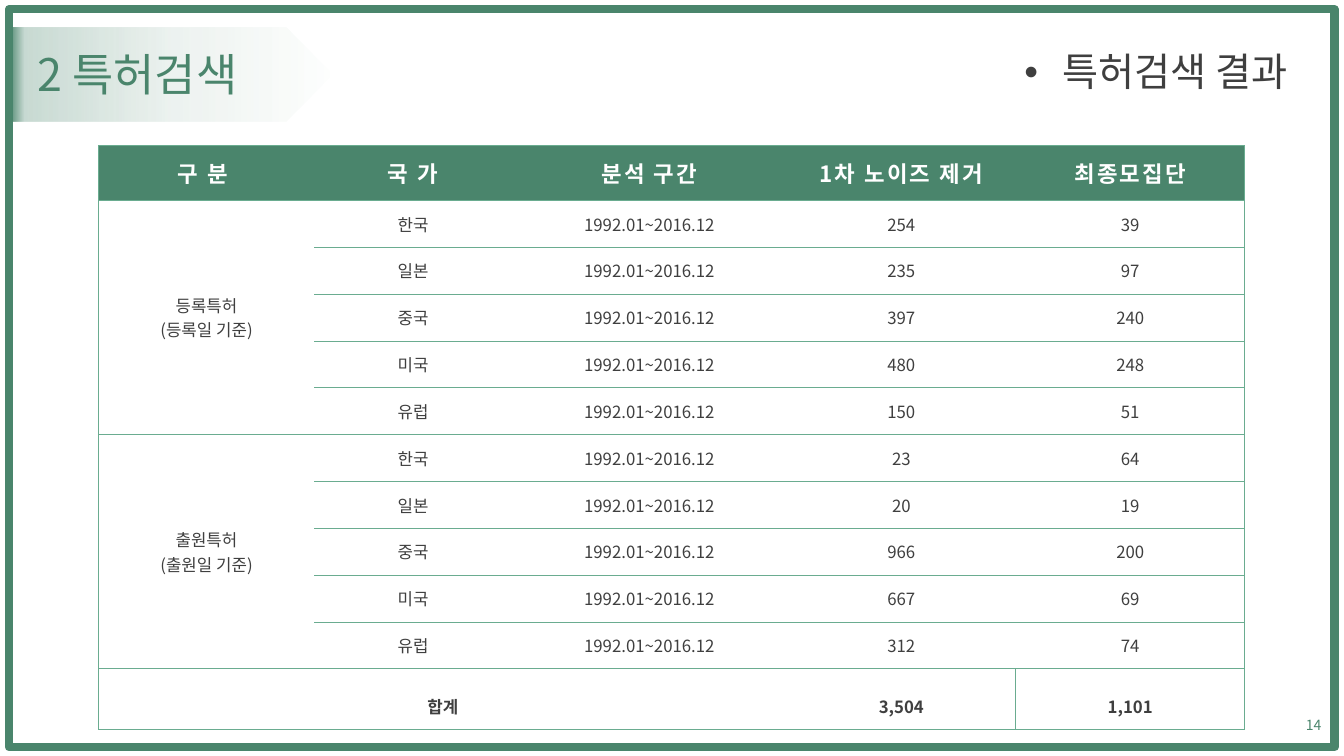
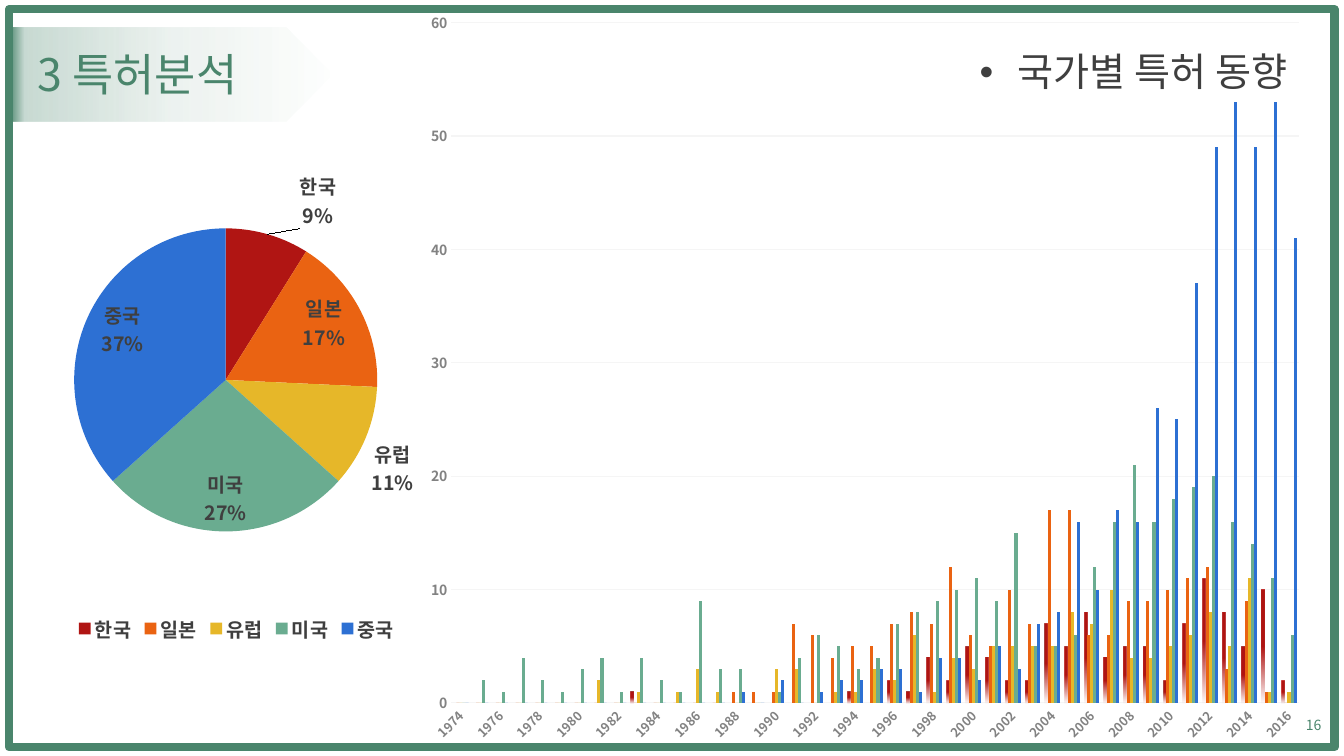
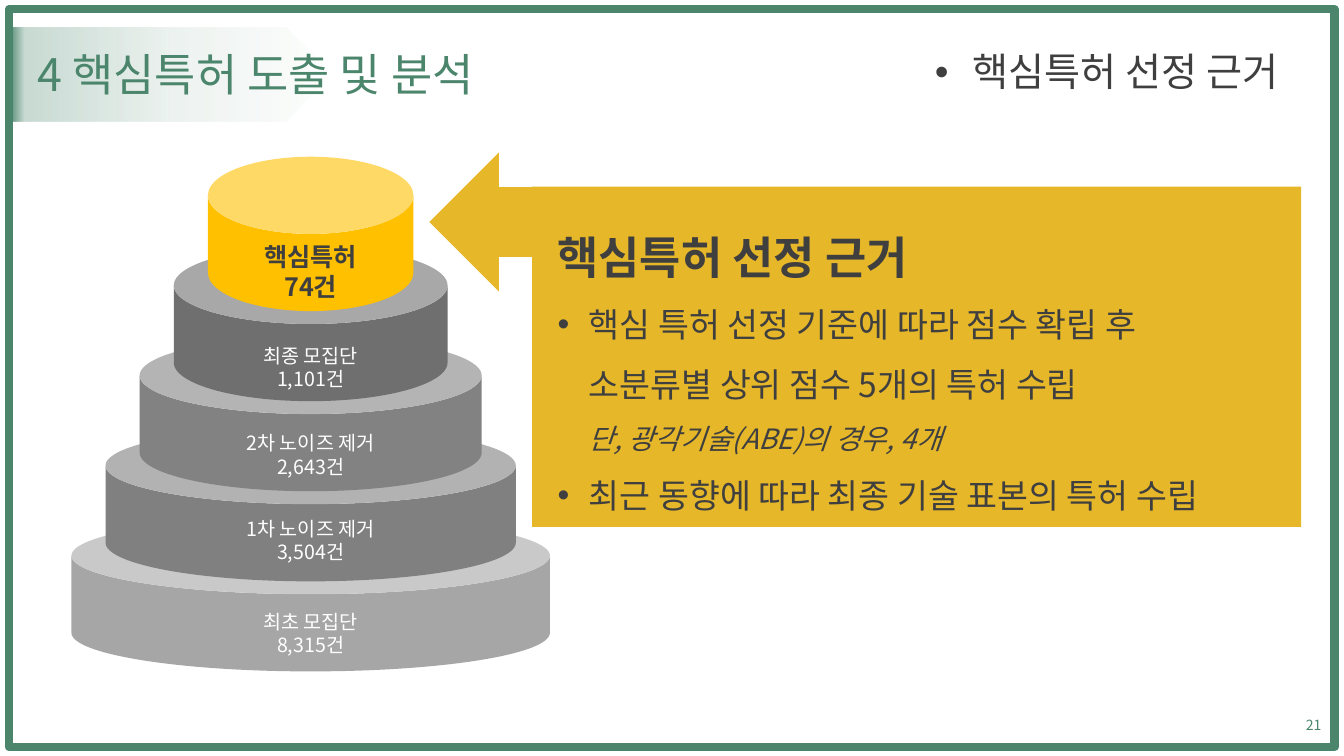
import copy

import lxml.etree
import pptx
import pptx.chart.data
import pptx.dml.color
import pptx.enum.chart
import pptx.enum.shapes
import pptx.enum.text
import pptx.oxml
import pptx.oxml.ns
import pptx.util

Cm, Pt = pptx.util.Cm, pptx.util.Pt
Kind = pptx.enum.shapes.MSO_SHAPE
Align = pptx.enum.text.PP_ALIGN
Anchor = pptx.enum.text.MSO_ANCHOR
qn = pptx.oxml.ns.qn
FONT = "Noto Sans CJK KR"
HUES = {
    "green": "4A856C", "mint": "6AAC90", "ink": "3F3F3F", "white": "FFFFFF",
    "red": "B01513", "orange": "EA6312", "gold": "E6B729", "blue": "2D70D3",
    "axis": "828282", "grid": "F5F5F5", "amber": "FFC000",
    "ash": "A6A6A6", "gray": "808080", "slate": "828282", "coal": "6F6F6F",
}
LANDS = {"한국": "red", "일본": "orange", "유럽": "gold", "미국": "mint", "중국": "blue"}


# Shared helpers
def rgb(hue):
    return pptx.dml.color.RGBColor.from_string(HUES[hue])


def face(font, size, hue="ink", bold=False):
    font.size, font.bold, font.name = Pt(size), bold, FONT
    font.color.rgb = rgb(hue)
    lxml.etree.SubElement(font._rPr, qn("a:ea")).set("typeface", FONT)


def node(tag, body=""):
    names = pptx.oxml.ns.nsdecls("a", "c")
    name = tag.split()[0]
    return pptx.oxml.parse_xml(f"<{tag} {names}>{body}</{name}>")


def paint(part, hue):
    part.fill.solid()
    part.fill.fore_color.rgb = rgb(hue)


def fade(item, hue, stops, turn):
    """Swap the solid fill of an element for a gradient; stops are (place, alpha)."""
    marks = "".join(
        f'<a:gs pos="{spot * 1000}"><a:srgbClr val="{HUES[hue]}">'
        f'<a:alpha val="{alpha * 1000}"/></a:srgbClr></a:gs>'
        for spot, alpha in stops)
    grad = node("a:gradFill", f'<a:gsLst>{marks}</a:gsLst><a:lin ang="{turn * 60000}" scaled="0"/>')
    old = item.find(".//" + qn("a:solidFill"))
    old.getparent().replace(old, grad)


def place(part, area):
    part.left, part.top, part.width, part.height = map(Cm, area)


def form(shapes, kind, area, hue):
    part = shapes.add_shape(kind, *map(Cm, area))
    part.shadow.inherit = False
    part.line.fill.background()
    paint(part, hue)
    return part


def write(frame, lines, size, hue="ink", bold=False, align=Align.CENTER):
    frame.word_wrap = True
    frame.text = "\n".join(lines)
    for para in frame.paragraphs:
        para.alignment = align
        face(para.font, size, hue, bold)


def label(shapes, area, *args, **opts):
    frame = shapes.add_textbox(*map(Cm, area)).text_frame
    write(frame, *args, **opts)
    return frame


def bullet(para, mark=None):
    props = para._p.get_or_add_pPr()
    step = Cm(0.79) if mark else 0
    props.set("marL", str(step))
    props.set("indent", str(-step))
    if mark:
        props.append(node('a:buFont typeface="Arial"'))
        props.append(node(f'a:buChar char="{mark}"'))
    else:
        props.append(node("a:buNone"))
    para.space_before = Pt(0)


# Frame and banner, kept on the master
def brand(deck, slide):
    rim = form(slide.shapes, Kind.RECTANGLE, (0.23, 0.23, 33.4, 18.6), "white")
    rim.fill.background()
    rim.line.color.rgb, rim.line.width = rgb("green"), Pt(6)
    flag = form(slide.shapes, Kind.RIGHT_ARROW, (0.23, 0.7, 8.15, 2.35), "green")
    flag.adjustments[0], flag.adjustments[1] = 1, 0.5
    fade(flag.element, "green", [(0, 100), (5, 30), (50, 10), (100, 0)], 0)
    for spot, part in enumerate((rim, flag)):
        part.element.nvSpPr.cNvPr.set("id", str(90 + spot))
        deck.slide_master.shapes.element.insert(2 + spot, part.element)


# Title, topic and page number
def start(deck, layout, title, topic, page):
    slide = deck.slides.add_slide(deck.slide_layouts[layout])
    heads = ((slide.shapes.title, title, 0.69, 13.5, 32, "green", Align.JUSTIFY),
             (slide.placeholders[1], topic, 17.45, 15.24, 28, "ink", Align.RIGHT))
    for part, text, left, wide, size, hue, align in heads:
        place(part, (left, 1.09, wide, 1.55))
        frame = part.text_frame
        frame.text = text
        bullet(frame.paragraphs[0])
        write(frame, [text], size, hue, align=align)
        frame.auto_size = pptx.enum.text.MSO_AUTO_SIZE.NONE
        frame.vertical_anchor = Anchor.MIDDLE
    frame.paragraphs[0].line_spacing = 0.9
    foot = label(slide.shapes, (32, 17.75, 1.55, 1.02), [page], 10, "green", align=Align.RIGHT)
    foot.vertical_anchor = Anchor.MIDDLE
    return slide


# Search result table
def edge(cell, sides):
    props = cell._tc.get_or_add_tcPr()
    for spot, side in enumerate("LRTB"):
        if side in sides:
            fill = f'<a:solidFill><a:srgbClr val="{HUES["mint"]}"/></a:solidFill>'
        else:
            fill = "<a:noFill/>"
        props.insert(spot, node(f'a:ln{side} w="6350"', fill))


def table(slide, left, top):
    heads = ["구 분 ", "국 가", "분석 구간", "1차 노이즈 제거", "최종모집단"]
    groups = [
        ("등록특허\n(등록일 기준)", [("한국", 254, 39), ("일본", 235, 97), ("중국", 397, 240),
                              ("미국", 480, 248), ("유럽", 150, 51)]),
        ("출원특허\n(출원일 기준)", [("한국", 23, 64), ("일본", 20, 19), ("중국", 966, 200),
                              ("미국", 667, 69), ("유럽", 312, 74)]),
    ]
    rows = [heads]
    for name, lands in groups:
        for spot, (land, first, final) in enumerate(lands):
            rows.append(["" if spot else name, land, "1992.01~2016.12", str(first), str(final)])
    rows.append(["합계", "", "", "3,504", "1,101"])
    last = len(rows) - 1
    wides = [5.43, 4.98, 6.93, 5.77, 5.77]
    highs = [1.38] + [1.18] * 10 + [1.54]
    area = (left, top, sum(wides), sum(highs))
    grid = slide.shapes.add_table(len(rows), len(heads), *map(Cm, area)).table
    for col, wide in zip(grid.columns, wides):
        col.width = Cm(wide)
    for row, high in zip(grid.rows, highs):
        row.height = Cm(high)
    for r, row in enumerate(rows):
        for c, text in enumerate(row):
            cell = grid.cell(r, c)
            cell.margin_left = cell.margin_right = Cm(0.28)
            cell.margin_top = cell.margin_bottom = Cm(0.28)
            cell.vertical_anchor = Anchor.MIDDLE
            if r == 0:
                paint(cell, "green")
            else:
                cell.fill.background()
            sides = "L" if c == 0 or (r, c) == (last, 4) else ""
            sides += "R" if c == 4 or (r, c) == (last, 3) else ""
            sides += "T" if c or r in (0, 1, 6, last) else ""
            sides += "B" if c or r in (0, 5, 10, last) else ""
            edge(cell, sides)
            if not text:
                continue
            write(cell.text_frame, text.split("\n"), 12 if r else 16,
                  "ink" if r else "white", r in (0, last))
            para = cell.text_frame.paragraphs[0]
            if r == 0:
                para.font._rPr.set("spc", "150")
            elif r == last:
                para.line_spacing = 1.6
    for head in (1, 6):
        grid.cell(head, 0).merge(grid.cell(head + 4, 0))
    grid.cell(last, 0).merge(grid.cell(last, 2))


# Charts
def chart(slide, kind, area, cats, sets, inner):
    data = pptx.chart.data.CategoryChartData()
    data.categories = cats
    for spot, vals in enumerate(sets, 1):
        data.add_series(f"Series {spot}", vals)
    made = slide.shapes.add_chart(kind, *map(Cm, area), data).chart
    made.has_title = made.has_legend = False
    face(made.font, 10)
    made._chartSpace.find(qn("c:chart")).addnext(
        node("c:spPr", "<a:noFill/><a:ln><a:noFill/></a:ln>"))
    zone = made._chartSpace.find(".//" + qn("c:plotArea"))
    for old in zone.findall(qn("c:layout")):
        zone.remove(old)
    rules = '<c:layoutTarget val="inner"/><c:xMode val="edge"/><c:yMode val="edge"/>'
    rules += "".join(f'<c:{key} val="{val}"/>' for key, val in zip("xywh", inner))
    zone.insert(0, node("c:layout", f"<c:manualLayout>{rules}</c:manualLayout>"))
    return made


def trend(slide, area):
    sets = [
        [0] * 9 + [1] + [0] * 10 + [1, 0, 2, 1, 4, 2, 5, 4, 2, 2, 7, 5, 8, 4, 5, 5, 2, 7, 11,
                                    8, 5, 10, 2],
        [0] * 14 + [1, 1, 1, 7, 6, 4, 5, 5, 7, 8, 7, 12, 6, 5, 10, 7, 17, 17, 6, 6, 9, 9, 10,
                    11, 12, 3, 9, 1, 0],
        [0] * 7 + [2, 0, 1, 0, 1, 3, 1, 0, 0, 3, 3, 0, 1, 1, 3, 2, 6, 1, 4, 3, 5, 5, 5, 5, 8,
                   7, 10, 4, 4, 5, 6, 8, 5, 11, 1, 1],
        [0, 2, 1, 4, 2, 1, 3, 4, 1, 4, 2, 1, 9, 3, 3, 0, 1, 4, 6, 5, 3, 4, 7, 8, 9, 10, 11, 9,
         15, 5, 5, 6, 12, 16, 21, 16, 18, 19, 20, 16, 14, 11, 6],
        [0] * 14 + [1, 0, 2, 0, 1, 2, 2, 3, 3, 1, 4, 4, 2, 5, 3, 7, 8, 16, 10, 17, 16, 26, 25,
                    37, 49, 53, 49, 53, 41],
    ]
    years = [str(year) for year in range(1974, 2017)]
    made = chart(slide, pptx.enum.chart.XL_CHART_TYPE.COLUMN_CLUSTERED, area, years, sets,
                 (0.04, 0.03, 0.94, 0.9))
    plot = made.plots[0]
    plot.gap_width, plot.overlap, plot.vary_by_categories = 150, 0, False
    for bars, hue in zip(plot.series, LANDS.values()):
        paint(bars.format, hue)
    fade(plot.series[0]._element, "red", [(50, 100), (100, 0)], 90)
    years, count = made.category_axis, made.value_axis
    for axis, size in ((years, 9), (count, 10)):
        axis.major_tick_mark = axis.minor_tick_mark = pptx.enum.chart.XL_TICK_MARK.NONE
        axis.format.line.fill.background()
        face(axis.tick_labels.font, size, "axis", True)
    count.minimum_scale, count.maximum_scale, count.major_unit = 0, 60, 10
    count.has_major_gridlines = True
    count.major_gridlines.format.line.color.rgb = rgb("grid")
    count.major_gridlines.format.line.width = Pt(0.75)
    root = years._element
    root.find(qn("c:txPr")).find(qn("a:bodyPr")).set("rot", "-2700000")
    root.find(qn("c:noMultiLvlLbl")).addprevious(node('c:tickLblSkip val="2"'))


def share(slide, area):
    made = chart(slide, pptx.enum.chart.XL_CHART_TYPE.PIE, area, list(LANDS),
                 [[9, 17, 11, 27, 37]], (0.13, 0.16, 0.69, 0.61))
    made.has_legend = True
    made.legend.position = pptx.enum.chart.XL_LEGEND_POSITION.BOTTOM
    made.legend.include_in_layout = False
    face(made.legend.font, 14, bold=True)
    pie = made.plots[0].series[0]
    for spot, hue in enumerate(LANDS.values()):
        paint(pie.points[spot].format, hue)
    tags = pie.data_labels
    tags.show_percentage = tags.show_category_name = True
    tags.show_value = False
    tags.position = pptx.enum.chart.XL_LABEL_POSITION.BEST_FIT
    face(tags.font, 14, bold=True)
    root = tags._element
    root.find(qn("c:showBubbleSize")).addnext(node("c:separator", "\n"))
    # First label, pulled away from its slice
    tag = node("c:dLbl", '<c:idx val="0"/><c:layout><c:manualLayout><c:x val="0.07"/>'
               '<c:y val="0"/></c:manualLayout></c:layout>')
    for part in root:
        if part.tag != qn("c:showLeaderLines"):
            tag.append(copy.deepcopy(part))
    root.insert(0, tag)


# Stacked tiers, widest at the bottom
def tiers(slide, mid, base):
    steps = [("최초 모집단", "8,315건", "ash", 2.21), ("1차 노이즈 제거", "3,504건", "gray", 2.14),
             ("2차 노이즈 제거", "2,643건", "slate", 2.25), ("최종 모집단", "1,101건", "coal", 2.31),
             ("핵심특허", "74건", "amber", 2.01)]
    shapes = slide.shapes.add_group_shape().shapes
    for spot, (name, count, hue, drop) in enumerate(steps):
        wide, top = 12.06 - 1.72 * spot, base - 2.27 * spot
        can = form(shapes, Kind.CAN, (mid - wide / 2, top, wide, 3.89), hue)
        can.adjustments[0] = 0.5
        key = hue == "amber"
        label(shapes, (mid - 3.06, top + drop, 6.12, 1.45), [name, count],
              18 if key else 14, "ink" if key else "white", key)


# Reasons panel with its arrow
def panel(slide, left, top):
    body = slide.placeholders[2]
    place(body, (left, top, 19.38, 8.58))
    paint(body, "gold")
    frame = body.text_frame
    frame.auto_size = pptx.enum.text.MSO_AUTO_SIZE.NONE
    frame.word_wrap = True
    frame.margin_left, frame.margin_top = Cm(0.64), Cm(0.41)
    lines = [("핵심특허 선정 근거", None, 32),
             ("핵심 특허 선정 기준에 따라 점수 확립 후\v소분류별 상위 점수 5개의 특허 수립\v", "•", 24),
             ("최근 동향에 따라 최종 기술 표본의 특허 수립", "•", 24)]
    frame.text = "\n".join(text for text, mark, size in lines)
    for para, (text, mark, size) in zip(frame.paragraphs, lines):
        bullet(para, mark)
        para.line_spacing = 1.5
        face(para.font, size, bold=not mark)
    note = frame.paragraphs[1].add_run()
    note.text = "단, 광각기술(ABE)의 경우, 4개"
    note.font.size, note.font.italic = Pt(20), True
    arrow = form(slide.shapes, Kind.LEFT_ARROW, (left - 2.59, top - 0.86, 6.12, 3.51), "gold")
    slide.shapes.element.insert(2, arrow.element)


def main():
    deck = pptx.Presentation()
    deck.slide_width, deck.slide_height = Cm(33.87), Cm(19.05)

    slide = start(deck, 1, "2 특허검색", "특허검색 결과", "14")
    brand(deck, slide)
    table(slide, 2.49, 3.67)

    slide = start(deck, 1, "3 특허분석", "국가별 특허 동향", "16")
    trend(slide, (10.46, 0, 22.73, 19.05))
    share(slide, (0.43, 3.73, 11.07, 12.57))

    slide = start(deck, 3, "4 핵심특허 도출 및 분석", "핵심특허 선정 근거 ", "21")
    tiers(slide, 7.83, 13.03)
    panel(slide, 13.41, 4.7)

    deck.save("out.pptx")


if __name__ == "__main__":
    main()
